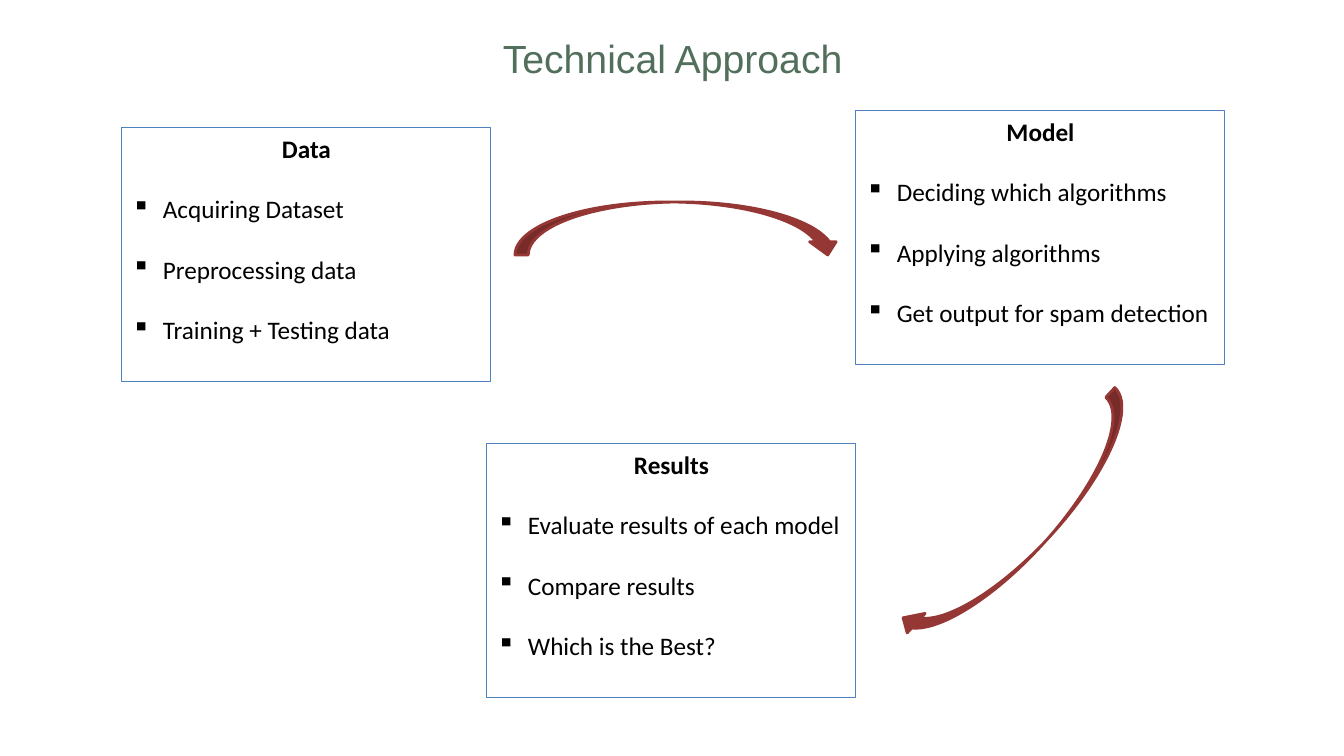
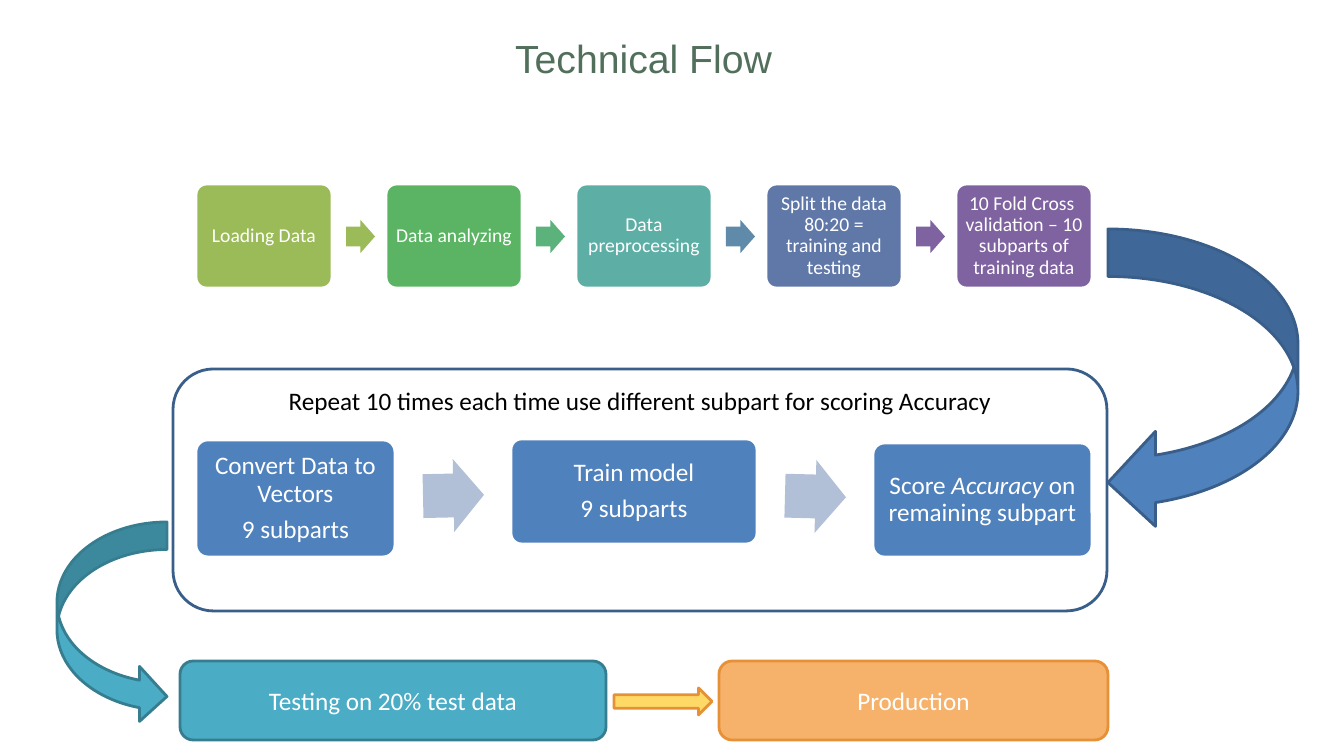
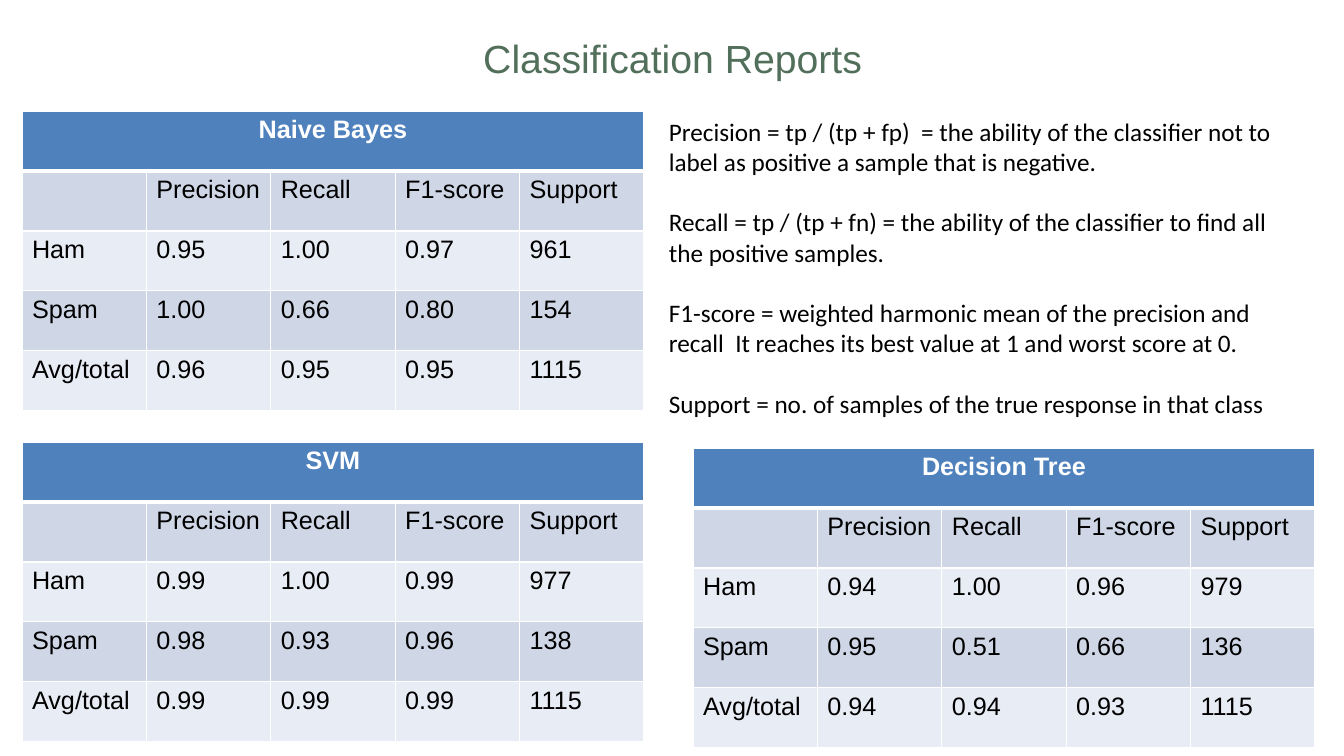
from lxml import etree
from pptx import Presentation
from pptx.dml.color import RGBColor
from pptx.enum.shapes import MSO_SHAPE as Shape
from pptx.enum.text import MSO_ANCHOR as Anchor, PP_ALIGN as Align
from pptx.oxml.ns import qn
from pptx.util import Pt

PIXEL = 914400 / 100.8
COLORS = {
    "title": "516F5A", "white": "FFFFFF", "black": "000000",
    "blue": "4F81BD", "navy": "395E89", "pale": "B1C0D7", "red": "953734",
    "teal": "4BACC6", "deep_teal": "367D90",
    "orange": "F6B26B", "deep_orange": "E69138", "yellow": "FFD966",
    "band_dark": "CFD7E7", "band_light": "E8ECF4",
    "olive": "9BBB59", "green": "5AB463", "mint": "5BB27B", "sea": "5DAEA5",
    "steel": "5F8AA9", "slate": "6078A8", "purple": "7F63A1",
}
RGB = {name: RGBColor.from_string(value) for name, value in COLORS.items()}
BLANK_LINE = 21.6  # points


def add_box(page, kind, bounds, fill=None, line=None, weight=2, adjust=(), turn=0):
    """Add a preset shape with bounds in pixels and optional fill and outline."""
    box = page.shapes.add_shape(kind, *(round(v * PIXEL) for v in bounds))
    box.shadow.inherit = False
    box.rotation = turn
    for index, value in enumerate(adjust):
        box.adjustments[index] = value
    if fill:
        box.fill.solid()
        box.fill.fore_color.rgb = RGB[fill]
    else:
        box.fill.background()
    if line:
        box.line.color.rgb = RGB[line]
        box.line.width = Pt(weight)
    else:
        box.line.fill.background()
    return box


def write(frame, lines, color="black", size=18, font="Calibri", align=Align.CENTER,
          gap=0, spacing=None, bold=False):
    """Write one paragraph per line; parts between asterisks are italic."""
    frame.word_wrap = True
    for index, line in enumerate(lines):
        para = frame.add_paragraph() if index else frame.paragraphs[0]
        para.alignment = align
        para.line_spacing = spacing
        para.space_before = Pt(gap if index else 0)
        para.font.size, para.font.name, para.font.bold = Pt(size), font, bold
        para.font.color.rgb = RGB[color]
        for part, text in enumerate(line.split("*")):
            span = para.add_run()
            span.text = text
            if part % 2:
                span.font.italic = True


deck = Presentation()
deck.slide_width, deck.slide_height = round(1344 * PIXEL), round(756 * PIXEL)

pages = []
for title, left in (("Technical Approach", 341), ("Technical Flow", 312),
                    ("Classification Reports", 341)):
    page = deck.slides.add_slide(deck.slide_layouts[6])
    box = page.shapes.add_textbox(*(round(v * PIXEL) for v in (left, 34, 663, 47)))
    frame = box.text_frame
    frame.margin_left = frame.margin_right = frame.margin_top = frame.margin_bottom = 0
    write(frame, [title], "title", 28, "Arial")
    pages.append(page)
approach, flow, reports = pages

# Technical Approach
stages = [
    (122, 128, "Data",
     ["Acquiring Dataset", "Preprocessing data", "Training + Testing data"]),
    (856, 111, "Model",
     ["Deciding which algorithms", "Applying algorithms", "Get output for spam detection"]),
    (487, 444, "Results",
     ["Evaluate results of each model", "Compare results", "Which is the Best?"]),
]
for left, top, heading, items in stages:
    box = add_box(approach, Shape.RECTANGLE, (left, top, 369, 254), line="blue", weight=0.75)
    frame = box.text_frame
    frame.vertical_anchor = Anchor.TOP
    write(frame, [heading] + items, gap=BLANK_LINE)
    frame.paragraphs[0].font.bold = True
    for para in frame.paragraphs[1:]:
        para.alignment = Align.LEFT
        props = para._p.get_or_add_pPr()
        indent = round(31 * PIXEL)
        props.set("marL", str(indent))
        props.set("indent", str(-indent))
        bullet = etree.Element(qn("a:buChar"), char="▪")
        props.find(qn("a:defRPr")).addprevious(bullet)

for left, top, turn in ((515, 202, 0), (861, 499, 132.6)):
    add_box(approach, Shape.CURVED_DOWN_ARROW, (left, top, 326, 53), "red", "red",
            adjust=(0.25, 0.5, 0.25), turn=turn)

# Technical Flow: preparation steps, then the repeated training steps
prepare = [
    ("Loading Data", "olive", "olive"),
    ("Data analyzing", "green", "mint"),
    ("Data preprocessing", "sea", "steel"),
    ("Split the data 80:20 = training and testing", "slate", "purple"),
    ("10 Fold Cross  validation – 10 subparts of training data", "purple", None),
]
steps = []
for index, (text, fill, arrow_fill) in enumerate(prepare):
    shift = 190 * index
    steps.append(((196 + shift, 184, 136, 104), fill, [text], 14, 6))
    if arrow_fill:
        add_box(flow, Shape.RIGHT_ARROW, (346 + shift, 220, 29, 33), arrow_fill,
                adjust=(0.6, 0.5))
steps += [
    ((196, 440, 199, 117), "blue", ["Convert Data to Vectors", "9 subparts"], 18, 7),
    ((511, 439, 246, 105), "blue", ["Train model", "9 subparts"], 18, 7),
    ((873, 443, 219, 114), "blue", ["Score *Accuracy* on remaining subpart"], 18, 7),
]
for bounds, fill, lines, size, margin in steps:
    box = add_box(flow, Shape.ROUNDED_RECTANGLE, bounds, fill, "white", adjust=(0.1,))
    frame = box.text_frame
    frame.margin_left = frame.margin_right = round(margin * PIXEL)
    frame.margin_top = frame.margin_bottom = round(margin * PIXEL)
    frame.vertical_anchor = Anchor.MIDDLE
    write(frame, lines, "white", size, gap=6.3, spacing=0.9)

for left, top, turn in ((423, 459, 358.8), (785, 460, 1.5)):
    add_box(flow, Shape.RIGHT_ARROW, (left, top, 61, 73), "pale", adjust=(0.6, 0.5), turn=turn)

panels = [
    ((173, 369, 934, 242), None, "navy", "black", Anchor.TOP,
     "Repeat 10 times each time use different subpart for scoring Accuracy"),
    ((180, 661, 426, 79), "teal", "deep_teal", "white", Anchor.MIDDLE,
     "Testing on 20% test data"),
    ((719, 661, 389, 79), "orange", "deep_orange", "white", Anchor.MIDDLE, "Production"),
]
for bounds, fill, line, color, anchor, text in panels:
    box = add_box(flow, Shape.ROUNDED_RECTANGLE, bounds, fill, line, adjust=(0.167,))
    box.text_frame.vertical_anchor = anchor
    write(box.text_frame, [text], color)

add_box(flow, Shape.CURVED_LEFT_ARROW, (1108, 229, 190, 301), "blue", "navy",
        adjust=(0.25, 0.5, 0.25))
add_box(flow, Shape.CURVED_RIGHT_ARROW, (57, 522, 110, 202), "teal", "deep_teal",
        adjust=(0.25, 0.5, 0.25))
add_box(flow, Shape.RIGHT_ARROW, (614, 688, 98, 27), "yellow", "deep_orange", adjust=(0.5, 0.5))

# Classification Reports
definitions = reports.shapes.add_textbox(*(round(v * PIXEL) for v in (659, 111, 655, 317)))
write(definitions.text_frame, [
    "Precision = tp / (tp + fp)  = the ability of the classifier not to label as positive "
    "a sample that is negative.",
    "Recall = tp / (tp + fn) = the ability of the classifier to find all the positive samples.",
    "F1-score = weighted harmonic mean of the precision and recall  It reaches its best "
    "value at 1 and worst score at 0.",
    "Support = no. of samples of the true response in that class",
], align=Align.LEFT, gap=BLANK_LINE)

HEADINGS = ["", "Precision", "Recall", "F1-score", "Support"]
scores = [
    (22, 111, "Naive Bayes", ["Ham 0.95 1.00 0.97 961", "Spam 1.00 0.66 0.80 154",
                              "Avg/total 0.96 0.95 0.95 1115"]),
    (22, 442, "SVM", ["Ham 0.99 1.00 0.99 977", "Spam 0.98 0.93 0.96 138",
                      "Avg/total 0.99 0.99 0.99 1115"]),
    (693, 448, "Decision Tree", ["Ham 0.94 1.00 0.96 979", "Spam 0.95 0.51 0.66 136",
                                 "Avg/total 0.94 0.94 0.93 1115"]),
]
for left, top, model, results in scores:
    rows = [[model, "", "", "", ""], HEADINGS] + [result.split() for result in results]
    bounds = (round(v * PIXEL) for v in (left, top, 622, 300))
    table = reports.shapes.add_table(5, 5, *bounds).table
    table.cell(0, 0).merge(table.cell(0, 4))
    for row, values in enumerate(rows):
        header = row == 0
        fill = "blue" if header else "band_dark" if row % 2 else "band_light"
        for column, value in enumerate(values):
            cell = table.cell(row, column)
            props = cell._tc.get_or_add_tcPr()
            for side in "LRTB":
                thick = (row, side) in ((0, "B"), (1, "T"))
                border = etree.SubElement(props, qn("a:ln" + side), w=str(Pt(3 if thick else 1)))
                paint = etree.SubElement(border, qn("a:solidFill"))
                etree.SubElement(paint, qn("a:srgbClr"), val=COLORS["white"])
            cell.fill.solid()
            cell.fill.fore_color.rgb = RGB[fill]
            write(cell.text_frame, [value], "white" if header else "black", font="Arial",
                  align=Align.CENTER if header else Align.LEFT, bold=header)

deck.save("out.pptx")
